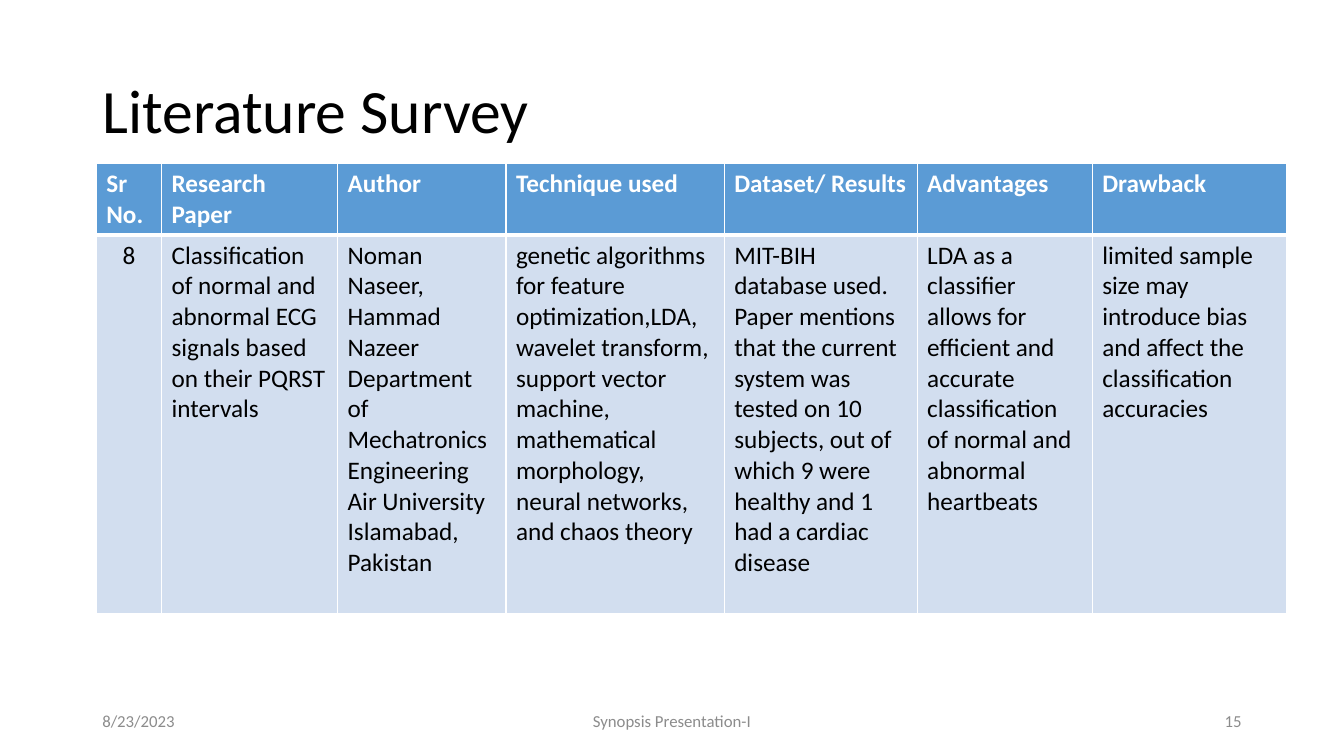
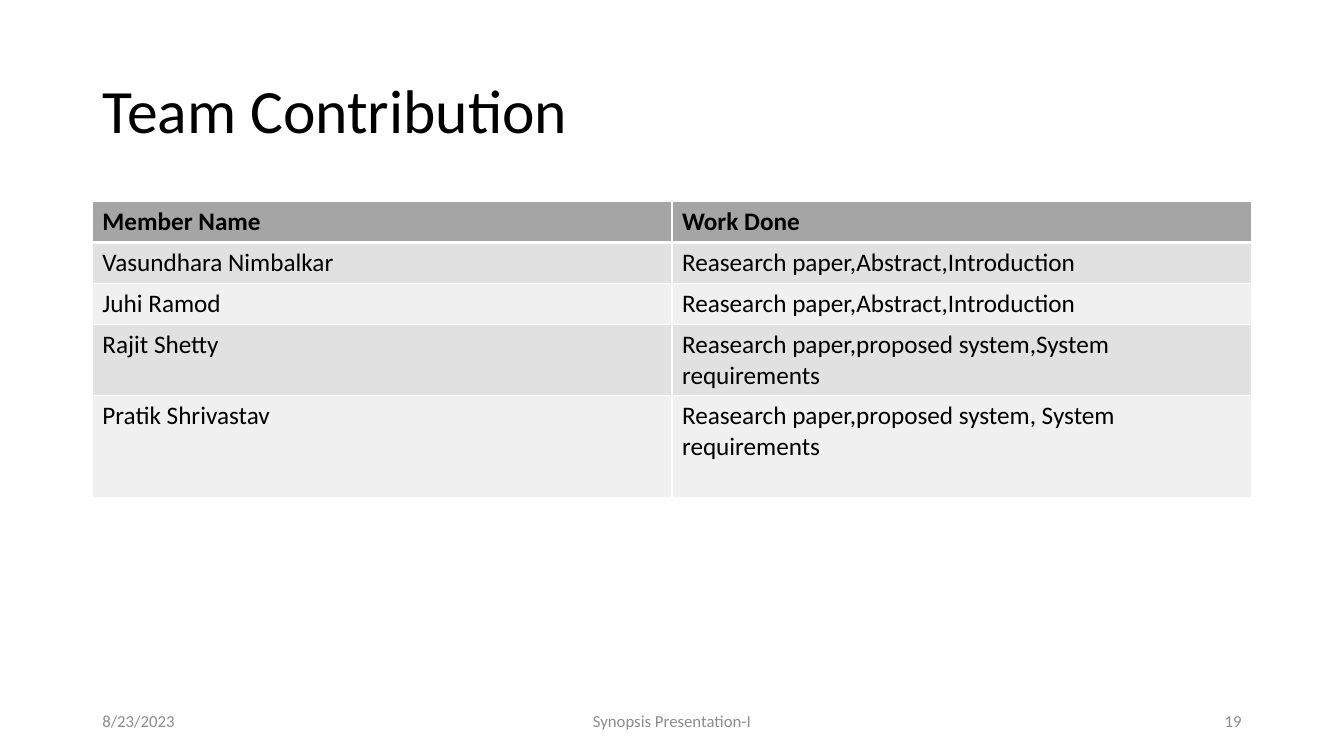
from dataclasses import dataclass

from lxml import etree
from pptx import Presentation
from pptx import util as u
from pptx.dml import color
from pptx.enum import text
from pptx.oxml import ns

Pt = u.Pt
ALIGN = text.PP_ALIGN


@dataclass(frozen=True)
class Theme:
    font: str = "Calibri"
    ink: str = "000000"
    paper: str = "FFFFFF"
    muted: str = "8C8C8C"
    blue: str = "5B9BD5"
    pale_blue: str = "D2DEEF"
    grey: str = "A5A5A5"
    light_grey: str = "E1E1E1"
    pale_grey: str = "F0F0F0"
    title_size: int = 44
    table_size: int = 18
    footer_size: int = 12
    rule: int = 1
    header_rule: int = 3


theme = Theme()


def style(frame, size, ink, align=ALIGN.LEFT, bold=False):
    for paragraph in frame.paragraphs:
        paragraph.alignment = align
        for run in paragraph.runs:
            run.font.name = theme.font
            run.font.size = Pt(size)
            run.font.bold = bold
            run.font.color.rgb = color.RGBColor.from_string(ink)


def add_border(cell, side, width):
    line = etree.SubElement(cell._tc.get_or_add_tcPr(), ns.qn(f"a:ln{side}"), w=str(Pt(width)))
    fill = etree.SubElement(line, ns.qn("a:solidFill"))
    etree.SubElement(fill, ns.qn("a:srgbClr"), val=theme.paper)


survey = {
    "title": "Literature Survey",
    "number": "15",
    "origin": (68.8, 116.8),
    "widths": [46.6, 125.8, 120.3, 155.9, 137.8, 125.1, 138.8],
    "heights": [51, 270],
    "header": (theme.blue, theme.paper),
    "bands": [theme.pale_blue],
    "centred": [(1, 0)],
    "rows": [
        ["Sr No.", "Research Paper", "Author", "Technique used", "Dataset/ Results", "Advantages", "Drawback"],
        [
            "8",
            "Classification of normal and abnormal ECG signals based on their PQRST intervals",
            "Noman Naseer, Hammad Nazeer Department of Mechatronics Engineering Air University\n"
            "Islamabad, Pakistan",
            "genetic algorithms for feature optimization,LDA, wavelet transform, support vector machine, "
            "mathematical morphology, neural networks, and chaos theory",
            "MIT-BIH database used.\n"
            "Paper mentions that the current system was tested on 10 subjects, out of which 9 were healthy "
            "and 1 had a cardiac disease",
            "LDA as a classifier allows for efficient and accurate classification of normal and abnormal heartbeats",
            "limited sample size may introduce bias and affect the classification accuracies",
        ],
    ],
}

contribution = {
    "title": "Team Contribution",
    "number": "19",
    "origin": (66, 144),
    "widths": [414, 414],
    "heights": [29.2, 29.2, 29.2, 51.2, 72.5],
    "header": (theme.grey, theme.ink),
    "bands": [theme.light_grey, theme.pale_grey],
    "centred": [],
    "rows": [
        ["Member Name", "Work Done"],
        ["Vasundhara Nimbalkar", "Reasearch paper,Abstract,Introduction"],
        ["Juhi Ramod", "Reasearch paper,Abstract,Introduction"],
        ["Rajit Shetty", "Reasearch paper,proposed system,System requirements"],
        ["Pratik Shrivastav", "Reasearch paper,proposed system, System requirements"],
    ],
}

deck = Presentation()
deck.slide_width, deck.slide_height = Pt(960), Pt(540)
title_only = deck.slide_layouts[5]

for content in (survey, contribution):
    slide = deck.slides.add_slide(title_only)

    title = slide.shapes.title
    title.left, title.top, title.width, title.height = Pt(66), Pt(28.8), Pt(828), Pt(104.4)
    title.text_frame.text = content["title"]
    title.text_frame.auto_size = text.MSO_AUTO_SIZE.NONE
    title.text_frame.vertical_anchor = text.MSO_ANCHOR.MIDDLE
    title.text_frame.paragraphs[0].line_spacing = 0.9
    style(title.text_frame, theme.title_size, theme.ink)

    rows, widths, heights = content["rows"], content["widths"], content["heights"]
    left, top = content["origin"]
    table = slide.shapes.add_table(
        len(rows), len(widths), Pt(left), Pt(top), Pt(sum(widths)), Pt(sum(heights))
    ).table
    for column, width in zip(table.columns, widths):
        column.width = Pt(width)
    for r, (row, entries) in enumerate(zip(table.rows, rows)):
        row.height = Pt(heights[r])
        is_header = r == 0
        if is_header:
            band, ink = content["header"]
        else:
            band, ink = content["bands"][(r - 1) % len(content["bands"])], theme.ink
        for c, entry in enumerate(entries):
            cell = table.cell(r, c)
            cell.text_frame.text = entry
            align = ALIGN.CENTER if (r, c) in content["centred"] else ALIGN.LEFT
            style(cell.text_frame, theme.table_size, ink, align, is_header)
            for side in "LRTB":
                add_border(cell, side, theme.header_rule if is_header and side == "B" else theme.rule)
            cell.fill.solid()
            cell.fill.fore_color.rgb = color.RGBColor.from_string(band)

    for words, left, width, align in (
        ("8/23/2023", 66, 216, ALIGN.LEFT),
        ("Synopsis Presentation-I", 318, 324, ALIGN.CENTER),
        (content["number"], 678, 216, ALIGN.RIGHT),
    ):
        footer = slide.shapes.add_textbox(Pt(left), Pt(500.5), Pt(width), Pt(28.75)).text_frame
        footer.word_wrap = True
        footer.vertical_anchor = text.MSO_ANCHOR.MIDDLE
        footer.text = words
        style(footer, theme.footer_size, theme.muted, align)

deck.save("out.pptx")
